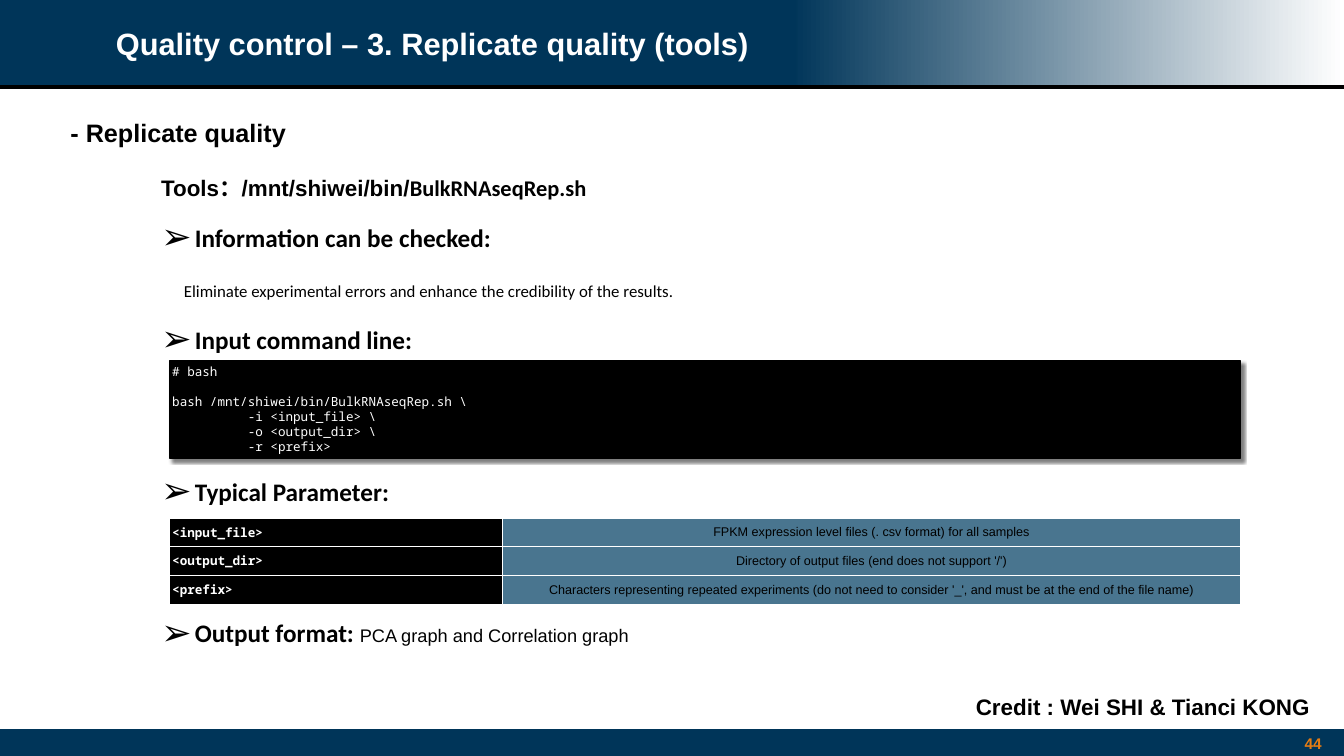
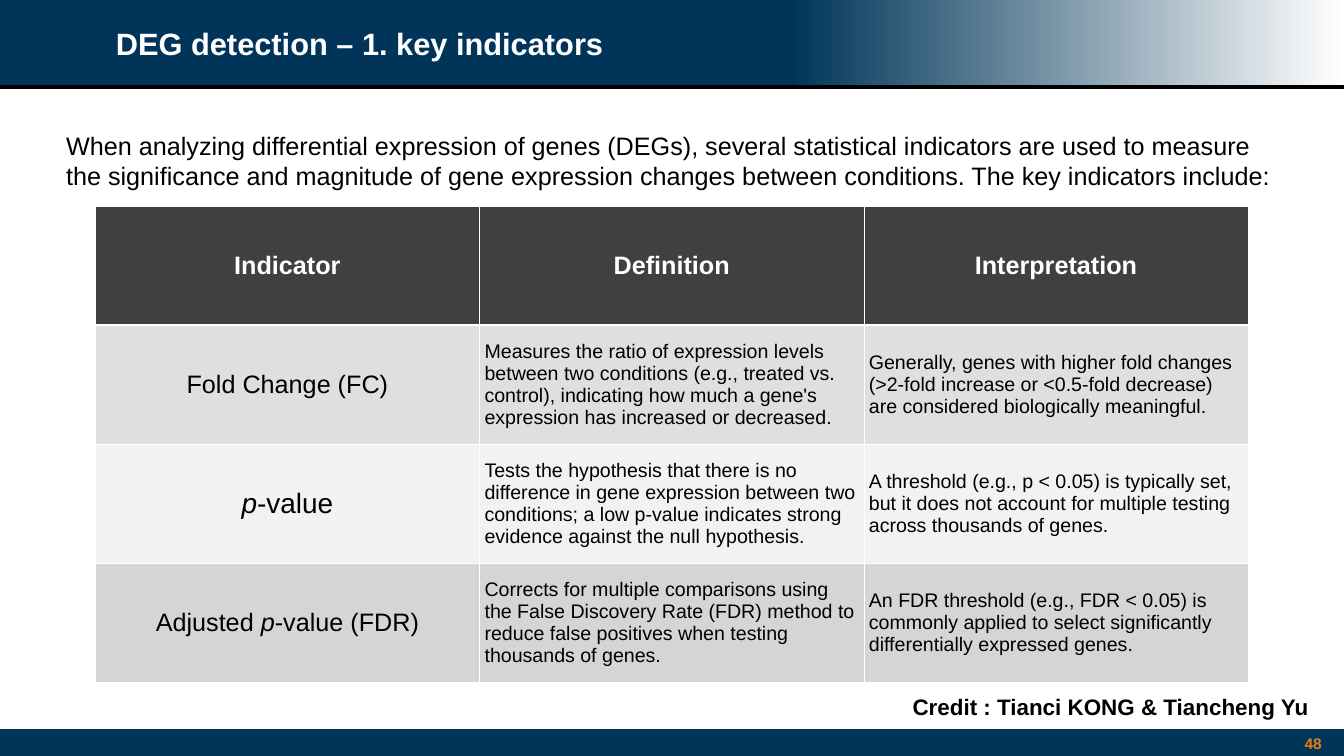
"""Build two RNA-seq teaching slides: replicate quality tools and DEG indicators."""
from dataclasses import dataclass

import lxml.etree
import pptx
import pptx.dml.color
import pptx.enum.shapes
import pptx.enum.text
import pptx.oxml.ns
import pptx.util

Cm = pptx.util.Cm
Pt = pptx.util.Pt
Align = pptx.enum.text.PP_ALIGN
Anchor = pptx.enum.text.MSO_ANCHOR


@dataclass(frozen=True)
class Theme:
    """Colours, fonts and type sizes shared by the slides."""
    navy: str = "003559"
    white: str = "FFFFFF"
    black: str = "000000"
    orange: str = "E67D13"
    steel: str = "49758F"
    header: str = "404040"
    rows: tuple = ("DFDFDF", "F2F2F2", "D6D5D5")
    sans: str = "Arial"
    body: str = "Calibri"
    mono: str = "Noto Sans Mono"
    title: int = 44
    value: int = 40
    heading: int = 36
    label: int = 32
    detail: int = 28
    output: int = 26
    note: int = 24
    number: int = 22
    code: int = 18


@dataclass(frozen=True)
class Box:
    """A rectangle in centimetres."""
    left: float
    top: float
    width: float
    height: float

    def lengths(self):
        """Return the four lengths for a python-pptx call."""
        return [Cm(n) for n in (self.left, self.top, self.width, self.height)]


THEME = Theme()
SLIDE = Box(0, 0, 67.74, 38.1)
BAND_HEIGHT = 4.37
CREDIT_RIGHT = 66.65


def rgb(colour):
    """Turn a hex string into a colour."""
    return pptx.dml.color.RGBColor.from_string(colour)


def add_xml(parent, tag, **attributes):
    """Append a DrawingML element and return it."""
    return lxml.etree.SubElement(parent, pptx.oxml.ns.qn("a:" + tag), attributes)


def set_font(font, size, name=THEME.sans, colour=THEME.black, bold=False):
    """Format the font of a paragraph or a run."""
    font.size, font.name, font.bold = Pt(size), name, bold
    font.color.rgb = rgb(colour)


def set_insets(target, inset):
    """Give a text frame or a cell equal margins."""
    target.margin_left = target.margin_right = Cm(inset)
    target.margin_top = target.margin_bottom = Cm(inset)


def add_span(para, text, *style):
    """Add a run with its own font and return it."""
    span = para.add_run()
    span.text = text
    set_font(span.font, *style)
    return span


def add_text(page, box, text="", size=THEME.heading, bold=False, align=Align.LEFT,
             inset=0.2, colour=THEME.black):
    """Add a text box with one paragraph and return its frame."""
    frame = page.shapes.add_textbox(*box.lengths()).text_frame
    frame.word_wrap = True
    set_insets(frame, inset)
    if text:
        para = frame.paragraphs[0]
        para.text, para.alignment = text, align
        set_font(para.font, size, colour=colour, bold=bold)
    return frame


def add_block(page, box, colour):
    """Add a plain rectangle without shadow and return it."""
    block = page.shapes.add_shape(pptx.enum.shapes.MSO_SHAPE.RECTANGLE, *box.lengths())
    block.shadow.inherit = False
    block.line.fill.background()
    block.fill.solid()
    block.fill.fore_color.rgb = rgb(colour)
    return block


def build_frame(page, layout, box):
    """Draw the bands and the rule, and move them to the shared layout."""
    fade = add_block(page, Box(box.left + 39.8, box.top, box.width - 39.8, BAND_HEIGHT), THEME.navy)
    fade.fill.gradient()
    fade.fill.gradient_angle = 180
    for stop, colour, position in zip(fade.fill.gradient_stops, (THEME.white, THEME.navy), (0, 1)):
        stop.color.rgb, stop.position = rgb(colour), position
    band = add_block(page, Box(box.left, box.top, 40.13, BAND_HEIGHT), THEME.navy)
    rule_top = Cm(box.top + 4.39)
    rule = page.shapes.add_connector(pptx.enum.shapes.MSO_CONNECTOR.STRAIGHT, Cm(box.left),
                                     rule_top, Cm(box.left + box.width), rule_top)
    rule.line.color.rgb, rule.line.width = rgb(THEME.black), Pt(5)
    add_xml(rule.element.spPr, "effectLst")
    footer = add_block(page, Box(box.left, box.top + 36.75, box.width, 1.4), THEME.navy)
    for holder in list(layout.placeholders):
        if holder.placeholder_format.idx:
            holder.element.getparent().remove(holder.element)
    for shape in (fade, band, rule, footer):
        layout.shapes.element.append(shape.element)


def build_heading(page, box, title, number, credit, credit_width):
    """Format the title and add the page number and the credit line."""
    holder = page.shapes.title
    holder.left, holder.top, holder.width, holder.height = Box(
        box.left + 5.64, box.top, 56.44, BAND_HEIGHT).lengths()
    frame = holder.text_frame
    frame.vertical_anchor = Anchor.MIDDLE
    frame.auto_size = pptx.enum.text.MSO_AUTO_SIZE.NONE
    set_insets(frame, 0.2)
    para = frame.paragraphs[0]
    para.text, para.alignment = title, Align.LEFT
    set_font(para.font, THEME.title, colour=THEME.white, bold=True)
    add_text(page, Box(box.left + 65.19, box.top + 36.8, 2, 1.32), number, THEME.number,
             True, Align.CENTER, colour=THEME.orange)
    add_text(page, Box(box.left + CREDIT_RIGHT - credit_width, box.top + 34.82, credit_width, 1.63),
             credit, THEME.label, True, Align.CENTER, inset=0.13)


def build_sections(page, box):
    """Write the bulleted section headings with their notes."""
    frame = add_text(page, box)
    frame.vertical_anchor = Anchor.MIDDLE
    sections = [("Information can be checked:", 0), ("Input command line:", 33),
                ("Typical Parameter:", 174), ("Output format:", 159)]
    para = frame.paragraphs[0]
    for text, space in sections:
        if space:
            para = frame.add_paragraph()
        properties = para._p.get_or_add_pPr()
        properties.set("marL", str(Cm(1.7)))
        properties.set("indent", str(-Cm(1.7)))
        add_xml(properties, "buSzPct", val="145000")
        add_xml(properties, "buFont", typeface=THEME.sans)
        add_xml(properties, "buChar", char="➢")
        para.space_before = Pt(space)
        if text.startswith("Output"):
            add_span(para, text + " ", THEME.heading, THEME.body, THEME.black, True)
            add_span(para, "PCA graph and Correlation graph", THEME.output)
            continue
        para.text = text
        set_font(para.font, THEME.heading, THEME.body, bold=True)
        if not space:
            note = frame.add_paragraph()
            note.text = "Eliminate experimental errors and enhance the credibility of the results."
            note._p.get_or_add_pPr().set("marL", str(Cm(1.15)))
            note.space_before = Pt(41)
            set_font(note.font, THEME.note, THEME.body)


def build_code(page, box):
    """Show the command on a black panel with a soft shadow."""
    panel = add_block(page, box, THEME.black)
    panel.line.color.rgb, panel.line.width = rgb(THEME.black), Pt(2)
    effects = panel.element.spPr.find(pptx.oxml.ns.qn("a:effectLst"))
    shadow = add_xml(effects, "outerShdw", blurRad=str(Pt(4)), dist=str(Pt(5)),
                     dir="2700000", rotWithShape="0")
    add_xml(add_xml(shadow, "srgbClr", val=THEME.black), "alpha", val="50000")
    frame = panel.text_frame
    frame.word_wrap, frame.vertical_anchor = True, Anchor.TOP
    set_insets(frame, 0.15)
    lines = ["# bash", "bash /mnt/shiwei/bin/BulkRNAseqRep.sh \\", "          -i <input_file> \\",
             "          -o <output_dir> \\", "          -r <prefix>"]
    for index, line in enumerate(lines):
        para = frame.add_paragraph() if index else frame.paragraphs[0]
        para.text, para.alignment = line, Align.LEFT
        if index == 1:
            para.space_before = Pt(21)
        set_font(para.font, THEME.code, THEME.mono, THEME.white)


def add_grid(page, box, row_count, widths):
    """Add an unbanded table with equal rows and return it."""
    table = page.shapes.add_table(row_count, len(widths), *box.lengths()).table
    table.first_row = table.horz_banding = False
    for column, width in zip(table.columns, widths):
        column.width = Cm(width)
    for row in table.rows:
        row.height = Cm(box.height / row_count)
    return table


def style_cell(cell, fill, borders, align):
    """Set the borders (left, right, top, bottom), fill and alignment; return the paragraph."""
    properties = cell._tc.get_or_add_tcPr()
    for side, width in zip("LRTB", borders):
        edge = add_xml(properties, "ln" + side, w=str(Pt(width)))
        add_xml(add_xml(edge, "solidFill"), "srgbClr", val=THEME.white)
    cell.fill.solid()
    cell.fill.fore_color.rgb = rgb(fill)
    cell.vertical_anchor = Anchor.MIDDLE
    para = cell.text_frame.paragraphs[0]
    para.alignment = align
    return para


def build_parameters(page, box):
    """Fill the table of command parameters."""
    rows = [("<input_file>", "FPKM expression level files (. csv format) for all samples"),
            ("<output_dir>", "Directory of output files (end does not support '/')"),
            ("<prefix>", "Characters representing repeated experiments (do not need to consider '_', "
                         "and must be at the end of the file name)")]
    table = add_grid(page, box, len(rows), (16.79, box.width - 16.79))
    styles = [(THEME.black, Align.LEFT, (THEME.mono, THEME.white, True)),
              (THEME.steel, Align.CENTER, (THEME.sans, THEME.black, False))]
    for r, row in enumerate(rows):
        for c, (text, (fill, align, font)) in enumerate(zip(row, styles)):
            cell = table.cell(r, c)
            set_insets(cell, 0.15)
            para = style_cell(cell, fill, (2, 2, 2, 2), align)
            para.text = text
            set_font(para.font, THEME.code, *font)


def build_indicators(page, box):
    """Fill the table of indicators, definitions and interpretations."""
    headers = ("Indicator", "Definition", "Interpretation")
    rows = [
        (("Fold Change (FC)", "", ""), THEME.heading,
         "Measures the ratio of expression levels between two conditions (e.g., treated vs. control), "
         "indicating how much a gene's expression has increased or decreased.",
         "Generally, genes with higher fold changes (>2-fold increase or <0.5-fold decrease) "
         "are considered biologically meaningful."),
        (("", "p", "-value"), THEME.value,
         "Tests the hypothesis that there is no difference in gene expression between two conditions; "
         "a low p-value indicates strong evidence against the null hypothesis.",
         "A threshold (e.g., p < 0.05) is typically set, but it does not account for multiple testing "
         "across thousands of genes."),
        (("Adjusted ", "p", "-value (FDR)"), THEME.heading,
         "Corrects for multiple comparisons using the False Discovery Rate (FDR) method to reduce "
         "false positives when testing thousands of genes.",
         "An FDR threshold (e.g., FDR < 0.05) is commonly applied to select significantly "
         "differentially expressed genes.")]
    table = add_grid(page, box, len(rows) + 1, [box.width / 3] * 3)
    for c, text in enumerate(headers):
        para = style_cell(table.cell(0, c), THEME.header, (1, 1, 1, 3), Align.CENTER)
        para.text = text
        set_font(para.font, THEME.heading, colour=THEME.white, bold=True)
    for r, ((parts, size, *details), fill) in enumerate(zip(rows, THEME.rows), 1):
        borders = (1, 1, 3 if r == 1 else 1, 1)
        para = style_cell(table.cell(r, 0), fill, borders, Align.CENTER)
        for part, italic in zip(parts, (False, True, False)):
            if part:
                add_span(para, part, size).font.italic = italic
        for c, text in enumerate(details, 1):
            para = style_cell(table.cell(r, c), fill, borders, Align.LEFT)
            para.text = text
            set_font(para.font, THEME.detail)


def build_quality_page(page, box):
    """Lay out the replicate quality slide."""
    build_heading(page, box, "Quality control – 3. Replicate quality (tools)", "44",
                  "Credit : Wei SHI & Tianci KONG", 18.08)
    add_text(page, Box(box.left + 3.35, box.top + 5.69, 17.15, 1.93), "- Replicate quality", bold=True)
    tools = add_text(page, Box(box.left + 7.92, box.top + 8.56, 37.03, 1.75))
    tools.vertical_anchor = Anchor.MIDDLE
    for text, name in (("Tools：/mnt/shiwei/bin/", THEME.sans), ("BulkRNAseqRep.sh", THEME.body)):
        add_span(tools.paragraphs[0], text, THEME.label, name, THEME.black, True)
    build_sections(page, Box(box.left + 7.92, box.top + 10.25, 49.1, 23.34))
    build_code(page, Box(box.left + 8.53, box.top + 18.19, 54, 4.9))
    build_parameters(page, Box(box.left + 8.53, box.top + 26.11, 54, 4.34))


def build_indicator_page(page, box):
    """Lay out the key indicators slide."""
    build_heading(page, box, "DEG detection – 1. key indicators", "48",
                  "Credit : Tianci KONG & Tiancheng Yu", 21.34)
    add_text(page, Box(box.left + 3.2, box.top + 6.45, 61.44, 3.33),
             "When analyzing differential expression of genes (DEGs), several statistical indicators are "
             "used to measure the significance and magnitude of gene expression changes between "
             "conditions. The key indicators include:", inset=0.13)
    build_indicators(page, Box(box.left + 4.8, box.top + 10.39, 58.11, 23.98))


def main():
    """Build and save the deck."""
    deck = pptx.Presentation()
    deck.slide_width, deck.slide_height = Cm(SLIDE.width), Cm(SLIDE.height)
    layout = deck.slide_layouts[5]
    pages = [deck.slides.add_slide(layout) for _ in range(2)]
    build_frame(pages[0], layout, SLIDE)
    build_quality_page(pages[0], SLIDE)
    build_indicator_page(pages[1], SLIDE)
    deck.save("out.pptx")


if __name__ == "__main__":
    main()
